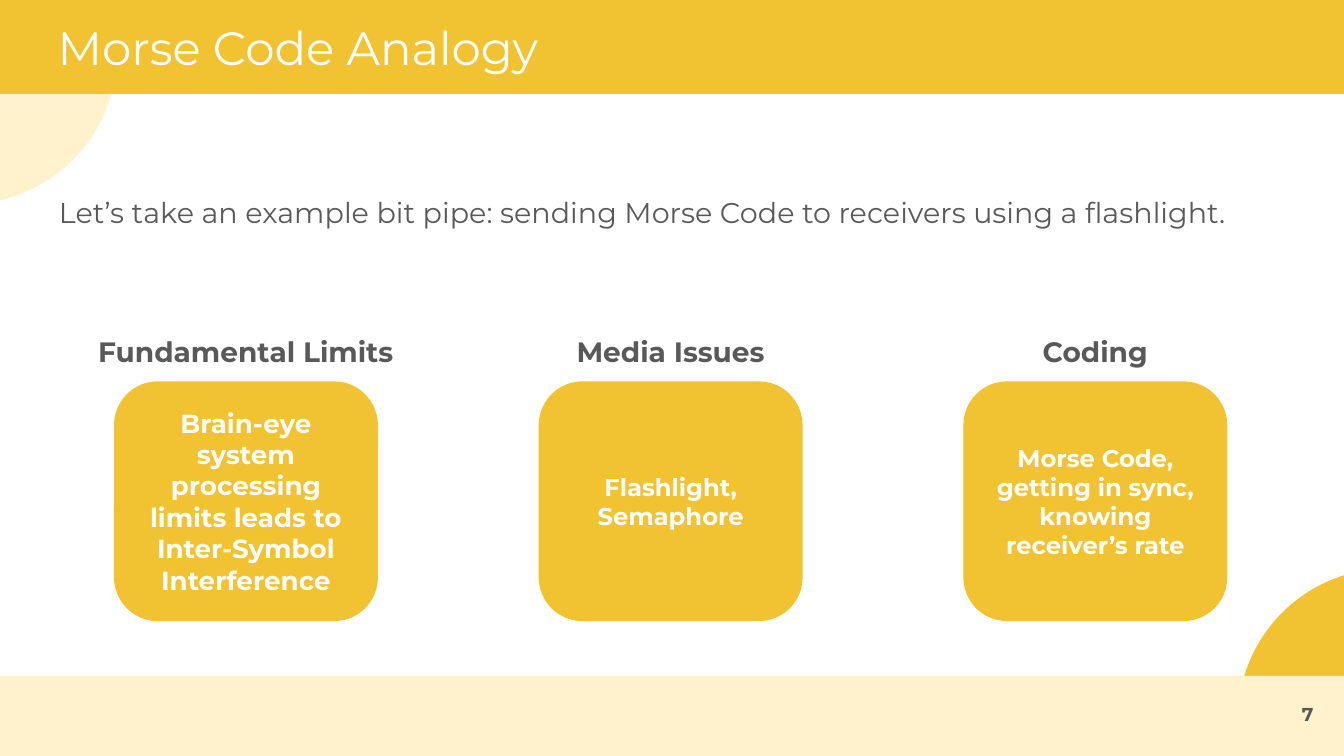
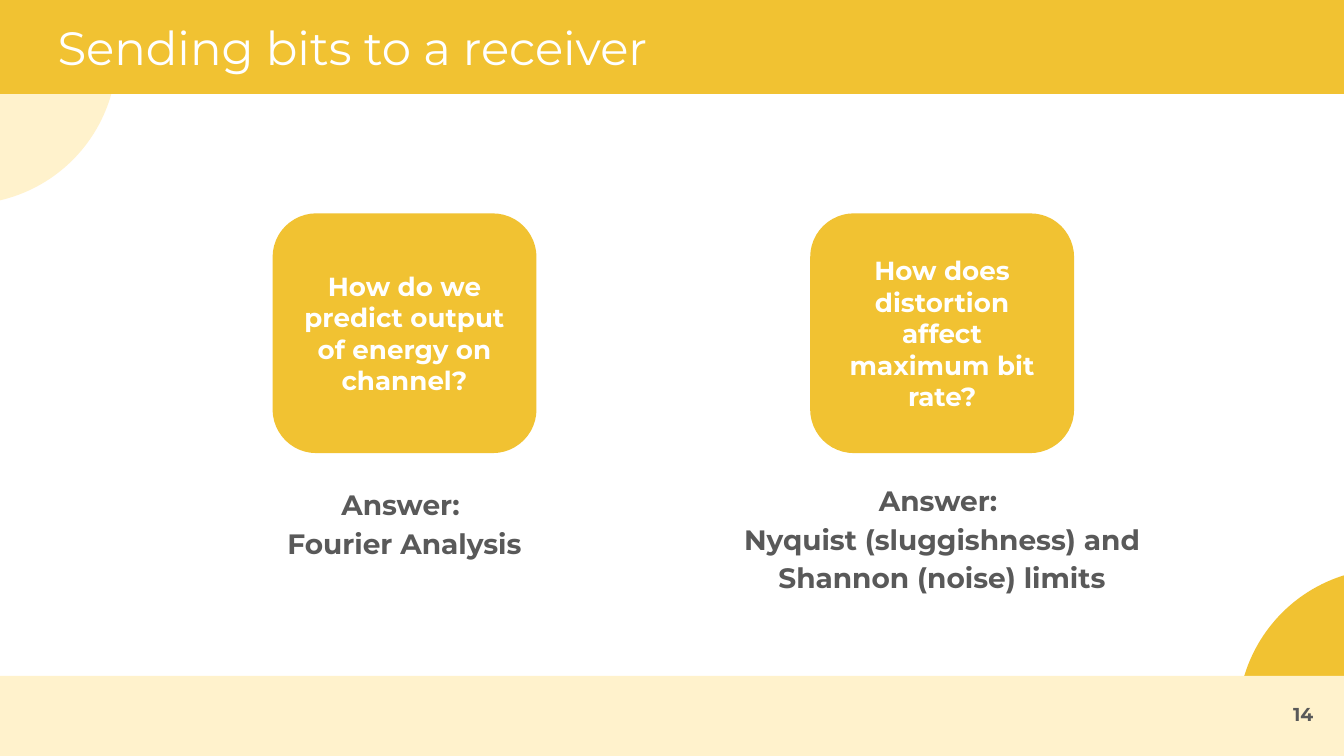
from dataclasses import dataclass

from pptx import Presentation
from pptx import util as u
from pptx.dml import color
from pptx.enum import shapes, text


@dataclass(frozen=True)
class Theme:
    font: str = "Montserrat"
    gold: str = "F1C232"
    cream: str = "FFF2CC"
    white: str = "FFFFFF"
    gray: str = "595959"
    title_size: float = 25
    body_size: float = 15.3
    label_size: float = 15
    card_size: float = 14
    small_card_size: float = 13
    number_size: float = 10
    card_border: float = 6


SLIDE_WIDTH = 10
SLIDE_HEIGHT = SLIDE_WIDTH * 9 / 16
CARD_WIDTH, CARD_HEIGHT = 1.88, 1.7
CIRCLE = 2.25


def write_text(frame, content, *, font, size, fill, bold=False,
               align=text.PP_ALIGN.LEFT, anchor=text.MSO_ANCHOR.TOP,
               line_spacing=1.0, space_after=0):
    frame.word_wrap = True
    frame.vertical_anchor = anchor
    frame.margin_left = frame.margin_right = u.Inches(0.1)
    frame.margin_top = frame.margin_bottom = u.Inches(0.1)
    paragraph = frame.paragraphs[0]
    paragraph.text = content
    paragraph.alignment = align
    paragraph.line_spacing = line_spacing
    paragraph.space_after = u.Pt(space_after)
    for run in paragraph.runs:
        run.font.name = font
        run.font.size = u.Pt(size)
        run.font.bold = bold
        run.font.color.rgb = color.RGBColor.from_string(fill)


class Deck:
    def __init__(self, theme):
        self.theme = theme
        self.presentation = Presentation()
        self.presentation.slide_width = u.Inches(SLIDE_WIDTH)
        self.presentation.slide_height = u.Inches(SLIDE_HEIGHT)
        self.slide = None

    def add_shape(self, kind, fill, left, top, width, height):
        shape = self.slide.shapes.add_shape(
            kind, *map(u.Inches, (left, top, width, height)))
        shape.shadow.inherit = False
        shape.fill.solid()
        shape.fill.fore_color.rgb = color.RGBColor.from_string(fill)
        shape.line.fill.background()
        return shape

    def add_text(self, content, left, top, width, height, **style):
        box = self.slide.shapes.add_textbox(
            *map(u.Inches, (left, top, width, height)))
        write_text(box.text_frame, content, font=self.theme.font, **style)

    def add_slide(self, title, number):
        theme = self.theme
        self.slide = self.presentation.slides.add_slide(
            self.presentation.slide_layouts[6])
        oval, band = shapes.MSO_SHAPE.OVAL, shapes.MSO_SHAPE.RECTANGLE
        self.add_shape(oval, theme.gold, 9.21, 4.23, CIRCLE, CIRCLE)
        self.add_shape(band, theme.cream, 0, 5.03, SLIDE_WIDTH, 0.6)
        self.add_shape(oval, theme.cream, -1.38, -0.73, CIRCLE, CIRCLE)
        self.add_shape(band, theme.gold, 0, 0, SLIDE_WIDTH, 0.7)
        self.add_text(title, 0.33, 0.04, 9.32, 0.63,
                      size=theme.title_size, fill=theme.white)
        self.add_text(str(number), 9.27, 5.1, 0.6, 0.43,
                      size=theme.number_size, fill=theme.gray, bold=True,
                      align=text.PP_ALIGN.RIGHT, anchor=text.MSO_ANCHOR.MIDDLE)

    def add_body(self, content, top):
        self.add_text(content, 0.34, top, 9.32, 0.83,
                      size=self.theme.body_size, fill=self.theme.gray,
                      line_spacing=1.05, space_after=12)

    def add_card(self, content, center, top, size):
        theme = self.theme
        card = self.add_shape(shapes.MSO_SHAPE.ROUNDED_RECTANGLE, theme.gold,
                              center - CARD_WIDTH / 2, top,
                              CARD_WIDTH, CARD_HEIGHT)
        card.line.color.rgb = color.RGBColor.from_string(theme.gold)
        card.line.width = u.Pt(theme.card_border)
        write_text(card.text_frame, content, font=theme.font, size=size,
                   fill=theme.white, bold=True, align=text.PP_ALIGN.CENTER,
                   anchor=text.MSO_ANCHOR.MIDDLE)

    def add_label(self, content, center, top, width, height):
        self.add_text(content, center - width / 2, top, width, height,
                      size=self.theme.label_size, fill=self.theme.gray,
                      bold=True, align=text.PP_ALIGN.CENTER,
                      line_spacing=1.15, space_after=12)


def add_morse_slide(deck):
    theme = deck.theme
    deck.add_slide("Morse Code Analogy", 7)
    deck.add_body("Let’s take an example bit pipe: sending Morse Code to "
                  "receivers using a flashlight.", 1.34)
    topics = [
        ("Fundamental Limits", 2.4, theme.card_size,
         "Brain-eye system processing limits leads to Inter-Symbol Interference"),
        ("Media Issues", 1.76, theme.small_card_size, "Flashlight, Semaphore"),
        ("Coding", 1.76, theme.small_card_size,
         "Morse Code, getting in sync, knowing receiver’s rate"),
    ]
    for column, (label, label_width, size, detail) in enumerate(topics):
        center = 1.83 + 3.16 * column
        deck.add_card(detail, center, 2.88, size)
        deck.add_label(label, center, 2.35, label_width, 0.45)


def add_receiver_slide(deck):
    deck.add_slide("Sending bits to a receiver", 14)
    questions = [
        ("How do we predict output of energy on channel?",
         "Answer: \vFourier Analysis", 3.49, 2.32, 0.74),
        ("How does distortion affect maximum bit rate?",
         "Answer: \vNyquist (sluggishness) and Shannon (noise) limits",
         3.46, 3.94, 1.04),
    ]
    for column, (question, answer, *answer_box) in enumerate(questions):
        center = 3.01 + 4 * column
        deck.add_card(question, center, 1.63, deck.theme.card_size)
        deck.add_label(answer, center, *answer_box)


def main():
    deck = Deck(Theme())
    add_morse_slide(deck)
    add_receiver_slide(deck)
    deck.presentation.save("out.pptx")


if __name__ == "__main__":
    main()
